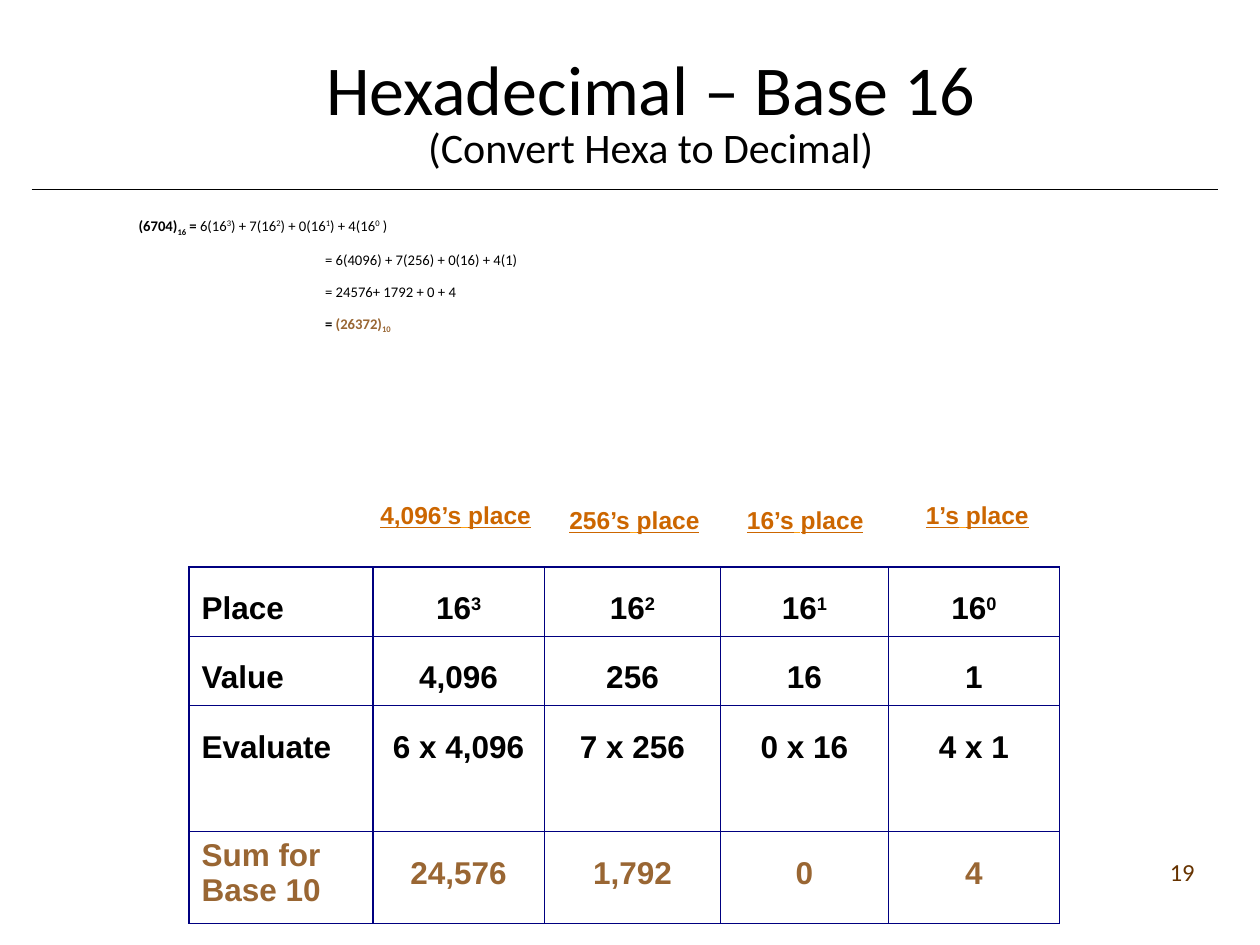
import pptx
import pptx.util
import pptx.dml.color
import pptx.enum.shapes
import pptx.enum.text
import pptx.oxml
import pptx.oxml.ns

Inches, Pt = pptx.util.Inches, pptx.util.Pt
ALIGN = pptx.enum.text.PP_ALIGN
ANCHOR = pptx.enum.text.MSO_ANCHOR
NS = pptx.oxml.ns.nsdecls("a")

COLORS = {"black": "000000", "result": "996633", "label": "CC6600",
          "label_gap": "FF9F11", "border": "000080", "number": "663300"}
SUPER, SUB = 30, -25

TITLE = [("Hexadecimal – Base 16", 40), ("(Convert Hexa to Decimal)", 24)]

# Each run: text, baseline shift, bold, colour
EQUATION = [
    [("(6704)", 0, True, "black"), ("16", SUB, True, "black"), (" = ", 0, True, "black"),
     ("6(16", 0, False, "black"), ("3", SUPER, False, "black"),
     (") + 7(16", 0, False, "black"), ("2", SUPER, False, "black"),
     (") + 0(16", 0, False, "black"), ("1", SUPER, False, "black"),
     (") + 4(16", 0, False, "black"), ("0", SUPER, False, "black"),
     (" )", 0, False, "black")],
    [("= 6(4096) + 7(256) + 0(16) + 4(1)", 0, False, "black")],
    [("= 24576+ 1792 + 0 + 4", 0, False, "black")],
    [("=", 0, True, "black"), (" (26372)", 0, True, "result"), ("10", SUB, True, "result")],
]

# A cell is its text, or a (base, exponent) pair
ROWS = [
    ["Place", ("16", "3"), ("16", "2"), ("16", "1"), ("16", "0")],
    ["Value", "4,096", "256", "16", "1"],
    ["Evaluate", "6 x 4,096", "7 x 256", "0 x 16", "4 x 1"],
    ["Sum for Base 10", "24,576", "1,792", "0", "4"],
]
COL_WIDTHS = [1.46, 1.36, 1.4, 1.33, 1.36]
ROW_HEIGHTS = [0.55, 0.55, 1, 0.73]

# Place value, left, top, width
PLACE_LABELS = [("4,096’s", 2.92, 3.92, 1.67), ("256’s", 4.42, 3.96, 1.25),
                ("16’s", 5.83, 3.96, 1.33), ("1’s", 7.25, 3.92, 1.33)]


def add_run(p, text, size, font, color="black", bold=False, shift=0, underline=False):
    r = p.add_run()
    r.text = text
    r.font.size, r.font.name = Pt(size), font
    r.font.bold = bold
    r.font.color.rgb = pptx.dml.color.RGBColor.from_string(COLORS[color])
    if underline:
        r.font.underline = True
    if shift:
        r._r.get_or_add_rPr().set("baseline", str(shift * 1000))


def place(sp, left, top, width, height):
    sp.left, sp.top = Inches(left), Inches(top)
    sp.width, sp.height = Inches(width), Inches(height)


def add_textbox(s, left, top, width, height):
    tf = s.shapes.add_textbox(*map(Inches, (left, top, width, height))).text_frame
    tf.word_wrap = True
    return tf.paragraphs[0]


def set_borders(cell):
    tcPr = cell._tc.get_or_add_tcPr()
    for i, side in enumerate(("lnL", "lnR", "lnT", "lnB")):
        tcPr.insert(i, pptx.oxml.parse_xml(
            f'<a:{side} {NS} w="9525"><a:solidFill><a:srgbClr val="{COLORS["border"]}"/>'
            f'</a:solidFill></a:{side}>'))


def add_title(s):
    title = s.shapes.title
    place(title, 0.83, 0.17, 8.67, 1.25)
    tf = title.text_frame
    tf.auto_size = pptx.enum.text.MSO_AUTO_SIZE.NONE
    tf.vertical_anchor = ANCHOR.BOTTOM
    p = tf.paragraphs[0]
    p.alignment, p.line_spacing = ALIGN.CENTER, 0.85
    for i, (text, size) in enumerate(TITLE):
        if i:
            p.add_line_break()
        add_run(p, text, size, "Calibri")


def add_rule(s):
    rule = s.shapes.add_connector(pptx.enum.shapes.MSO_CONNECTOR.STRAIGHT,
                                  *map(Inches, (0.25, 1.5, 9.67, 1.5)))
    rule.line.width = Pt(0.5)
    rule.line.color.rgb = pptx.dml.color.RGBColor.from_string(COLORS["black"])
    rule._element.spPr.append(pptx.oxml.parse_xml(f"<a:effectLst {NS}/>"))


def add_equation(s):
    body = s.placeholders[1]
    place(body, 1, 1.67, 8.5, 1.06)
    tf = body.text_frame
    tf.auto_size = pptx.enum.text.MSO_AUTO_SIZE.NONE
    for i, runs in enumerate(EQUATION):
        p = tf.add_paragraph() if i else tf.paragraphs[0]
        pPr = p._p.get_or_add_pPr()
        pPr.set("marL", str(Inches(1.48 if i else 0)))
        pPr.set("indent", "0")
        pPr.append(pptx.oxml.parse_xml(f"<a:buNone {NS}/>"))
        p.space_before = Pt(8.1 if i else 0)
        for text, shift, bold, color in runs:
            add_run(p, text, 8.4, "Calibri", color, bold, shift)


def add_place_table(s):
    table = s.shapes.add_table(len(ROWS), len(COL_WIDTHS), Inches(1.5), Inches(4.5),
                               Inches(sum(COL_WIDTHS)), Inches(sum(ROW_HEIGHTS))).table
    table.first_row = table.horz_banding = False
    for col, width in zip(table.columns, COL_WIDTHS):
        col.width = Inches(width)
    for row, height in zip(table.rows, ROW_HEIGHTS):
        row.height = Inches(height)
    last = len(ROWS) - 1
    for i, row in enumerate(ROWS):
        for j, content in enumerate(row):
            cell = table.cell(i, j)
            cell.fill.background()
            set_borders(cell)
            p = cell.text_frame.paragraphs[0]
            p.alignment = ALIGN.CENTER if j else ALIGN.LEFT
            p.line_spacing = 1.0 if i == last and j == 0 else 1.5
            parts = (content,) if isinstance(content, str) else content
            for text, shift in zip(parts, (0, SUPER)):
                add_run(p, text, 18, "Arial", "result" if i == last else "black", True, shift)


def add_place_labels(s):
    for value, left, top, width in PLACE_LABELS:
        p = add_textbox(s, left, top, width, 0.34)
        for text, color in ((value, "label"), (" ", "label_gap"), ("place", "label")):
            add_run(p, text, 14, "Arial", color, True, underline=True)


def add_slide_number(s):
    p = add_textbox(s, 7.5, 6.75, 2.08, 0.5)
    p.alignment = ALIGN.RIGHT
    add_run(p, "19", 14, "Calibri", "number")


def main():
    prs = pptx.Presentation()
    prs.slide_width, prs.slide_height = Inches(10), Inches(7.5)
    s = prs.slides.add_slide(prs.slide_layouts[1])
    add_rule(s)
    add_title(s)
    add_equation(s)
    add_place_table(s)
    add_slide_number(s)
    add_place_labels(s)
    prs.save("out.pptx")


if __name__ == "__main__":
    main()
